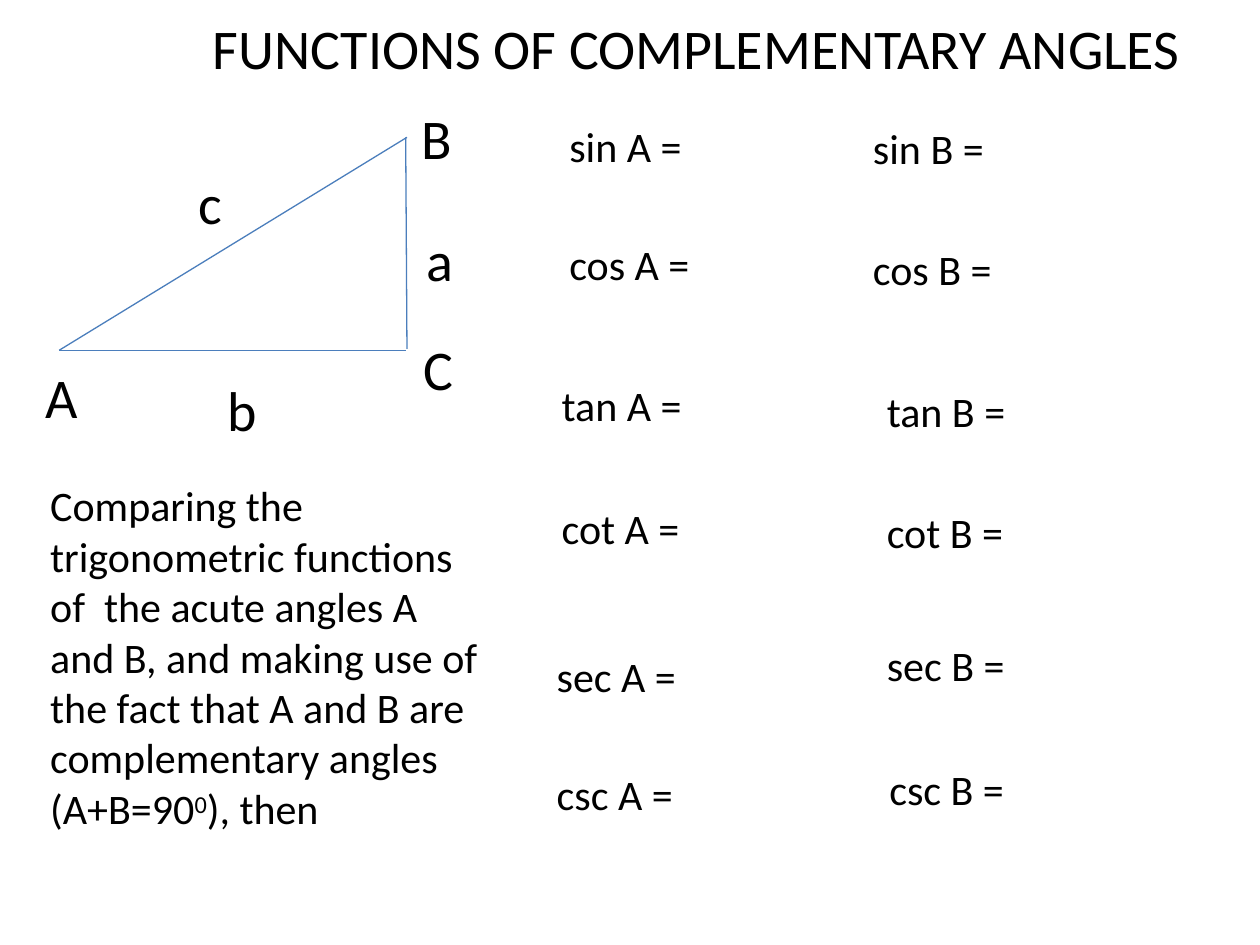
from lxml import etree
from pptx import Presentation
from pptx.dml.color import RGBColor
from pptx.enum.shapes import MSO_CONNECTOR
from pptx.enum.text import MSO_ANCHOR, MSO_AUTO_SIZE, PP_ALIGN
from pptx.oxml.ns import qn
from pptx.util import Inches, Pt

STRAIGHT = MSO_CONNECTOR.STRAIGHT
TOP, MIDDLE = MSO_ANCHOR.TOP, MSO_ANCHOR.MIDDLE
LEFT, CENTER = PP_ALIGN.LEFT, PP_ALIGN.CENTER
FIT_SHAPE = MSO_AUTO_SIZE.SHAPE_TO_FIT_TEXT

BLACK = RGBColor(0x00, 0x00, 0x00)
BLUE = RGBColor(0x4B, 0x7E, 0xBC)
FONT = "Calibri"
LARGE, MEDIUM = 32, 24
COLUMNS, ROWS = 100, 75


class SlideBuilder:
    def __init__(self, prs):
        self.column = prs.slide_width / COLUMNS
        self.row = prs.slide_height / ROWS
        self.slide = prs.slides.add_slide(prs.slide_layouts[6])

    def place(self, x, y):
        return round(x * self.column), round(y * self.row)

    def text(self, x, y, w, h, runs, size, align=LEFT, anchor=TOP):
        sp = self.slide.shapes.add_textbox(*self.place(x, y), *self.place(w, h))
        tf = sp.text_frame
        tf.word_wrap = True
        tf.auto_size = FIT_SHAPE
        tf.vertical_anchor = anchor
        p = tf.paragraphs[0]
        p.alignment = align
        for words, baseline in runs:
            r = p.add_run()
            r.text = words
            r.font.name = FONT
            r.font.size = Pt(size)
            r.font.color.rgb = BLACK
            if baseline:
                r.font._element.set("baseline", str(baseline * 1000))

    def line(self, start, end):
        side = self.slide.shapes.add_connector(
            STRAIGHT, *self.place(*start), *self.place(*end))
        side.line.color.rgb = BLUE
        side.line.width = Pt(0.75)
        etree.SubElement(side._element.spPr, qn("a:effectLst"))

    def letter(self, name, x, y):
        self.text(x, y, 4.2, 6.4, [(name, 0)], LARGE)

    def function(self, name, angle, x, y):
        self.text(x, y, 17, 5.1, [(f"{name} {angle} =", 0)], MEDIUM)


def main():
    prs = Presentation()
    prs.slide_width, prs.slide_height = Inches(10), Inches(7.5)
    s = SlideBuilder(prs)

    s.text(15.7, 0, 79.2, 7.5, [("FUNCTIONS OF COMPLEMENTARY ANGLES", 0)],
           LARGE, CENTER, MIDDLE)

    vertex_a, vertex_b, vertex_c = (4.7, 27.8), (32.3, 10.9), (32.2, 27.8)
    s.line(vertex_a, vertex_c)
    s.line(vertex_a, vertex_b)
    s.line((32.2, 10.9), (32.3, 27.7))

    for name, x, y in [("B", 32.5, 7.7), ("C", 32.6, 26.1), ("A", 2.6, 28.3),
                       ("c", 14.8, 12.9), ("a", 32.9, 17.4), ("b", 17.1, 29.3)]:
        s.letter(name, x, y)

    functions = [
        ("sin", (44.2, 9.1), (68.3, 9.2)),
        ("cos", (44.2, 18.4), (68.3, 18.8)),
        ("tan", (43.6, 29.6), (69.4, 30.1)),
        ("cot", (43.6, 39.4), (69.4, 39.7)),
        ("sec", (43.2, 51.1), (69.4, 50.3)),
        ("csc", (43.2, 60.5), (69.6, 60.1)),
    ]
    for name, *places in functions:
        for angle, place in zip("AB", places):
            s.function(name, angle, *place)

    s.text(3, 37.6, 36.1, 29.3, [
        ("Comparing the trigonometric functions of  the acute angles A and B, "
         "and making use of the fact that A and B are complementary angles "
         "(A+B=90", 0),
        ("0", 26),
        ("), then", 0),
    ], MEDIUM)

    prs.save("out.pptx")


if __name__ == "__main__":
    main()
